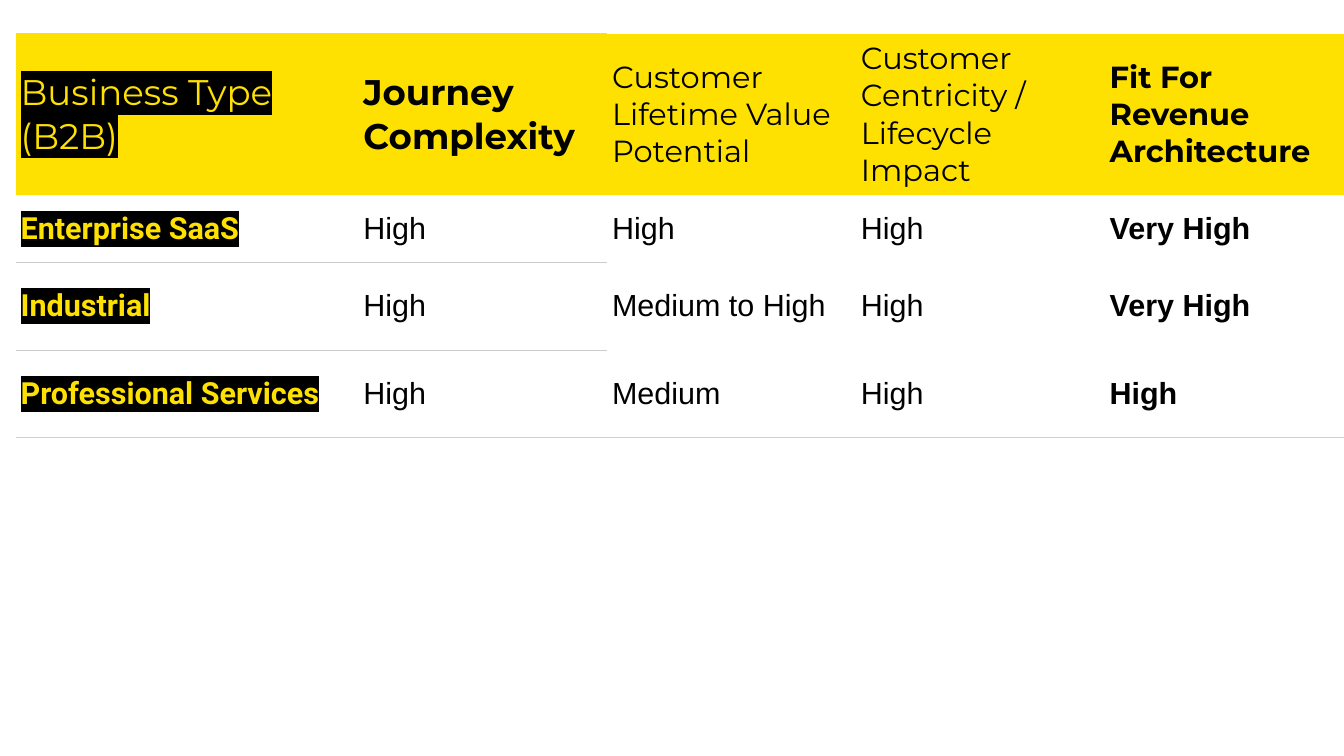
from dataclasses import dataclass

import pptx
import pptx.dml.color
import pptx.enum.text
import pptx.oxml
import pptx.oxml.ns
import pptx.table
import pptx.util

YELLOW = pptx.dml.color.RGBColor(0xFE, 0xE1, 0x00)
BLACK = pptx.dml.color.RGBColor(0x00, 0x00, 0x00)
GREY = pptx.dml.color.RGBColor(0xCC, 0xCC, 0xCC)

SLIDE_WIDTH, SLIDE_HEIGHT = 11.02, 6.2
TABLE_LEFT, TABLE_TOP = 0.13, 0.28
COLUMN_WIDTHS = [2.81] + [2.04] * 4
ROW_HEIGHTS = [1.3, 0.55, 0.72, 0.72]
RULED_COLUMNS = 2
PLAIN_STYLE = "{2D5ABB26-0587-4C30-8999-92F81FD0307C}"
CELL_FORMAT = {
    "margin_left": pptx.util.Inches(0.04),
    "margin_right": pptx.util.Inches(0.04),
    "margin_top": pptx.util.Inches(0.05),
    "margin_bottom": pptx.util.Inches(0.05),
    "vertical_anchor": pptx.enum.text.MSO_ANCHOR.MIDDLE,
}


@dataclass(frozen=True)
class TextStyle:
    font: str
    size: int = 18
    bold: bool = False
    highlighted: bool = False


@dataclass(frozen=True)
class Border:
    side: str
    color: pptx.dml.color.RGBColor
    points: float


HEADER_STYLES = [
    TextStyle("Montserrat", 21, highlighted=True),
    TextStyle("Montserrat", 21, bold=True),
    TextStyle("Montserrat"),
    TextStyle("Montserrat"),
    TextStyle("Montserrat", bold=True),
]
BODY_STYLES = [
    TextStyle("Roboto", bold=True, highlighted=True),
    TextStyle("Arial"),
    TextStyle("Arial"),
    TextStyle("Arial"),
    TextStyle("Arial", bold=True),
]
ROWS = [
    ["Business Type (B2B)", "Journey Complexity", "Customer Lifetime Value Potential",
     "Customer Centricity / Lifecycle Impact", "Fit For Revenue Architecture"],
    ["Enterprise SaaS", "High", "High", "High", "Very High"],
    ["Industrial", "High", "Medium to High", "High", "Very High"],
    ["Professional Services", "High", "Medium", "High", "High"],
]


def write_text(cell: pptx.table._Cell, text: str, style: TextStyle) -> None:
    run = cell.text_frame.paragraphs[0].add_run()
    run.text = text
    font_format = {"name": style.font, "size": pptx.util.Pt(style.size), "bold": style.bold}
    for name, value in font_format.items():
        setattr(run.font, name, value)
    run.font.color.rgb = YELLOW if style.highlighted else BLACK
    if style.highlighted:
        highlight = pptx.oxml.parse_xml(
            f'<a:highlight {pptx.oxml.ns.nsdecls("a")}><a:srgbClr val="{BLACK}"/></a:highlight>')
        run._r.rPr.find(pptx.oxml.ns.qn("a:solidFill")).addnext(highlight)


def borders_of(row: int, column: int) -> list[Border]:
    """Borders of a cell, top before bottom."""
    last_row = len(ROWS) - 1
    ruled = column < RULED_COLUMNS
    borders = []
    if ruled and row != 1:
        borders.append(Border("T", YELLOW if row == 0 else GREY, 0.85 if row == 0 else 0.5))
    if row == last_row:
        borders.append(Border("B", YELLOW, 0.85))
    elif ruled and row > 0:
        borders.append(Border("B", GREY, 0.5))
    return borders


def draw_borders(cell: pptx.table._Cell, borders: list[Border]) -> None:
    properties = cell._tc.get_or_add_tcPr()
    for position, border in enumerate(borders):
        line = pptx.oxml.parse_xml(
            f'<a:ln{border.side} {pptx.oxml.ns.nsdecls("a")} w="{pptx.util.Pt(border.points)}">'
            f'<a:solidFill><a:srgbClr val="{border.color}"/></a:solidFill></a:ln{border.side}>')
        properties.insert(position, line)


def fill_cell(cell: pptx.table._Cell, row: int, column: int) -> None:
    for name, value in CELL_FORMAT.items():
        setattr(cell, name, value)
    if row == 0:
        cell.fill.solid()
        cell.fill.fore_color.rgb = YELLOW
    else:
        cell.fill.background()
    styles = HEADER_STYLES if row == 0 else BODY_STYLES
    write_text(cell, ROWS[row][column], styles[column])
    draw_borders(cell, borders_of(row, column))


def main() -> None:
    presentation = pptx.Presentation()
    presentation.slide_width = pptx.util.Inches(SLIDE_WIDTH)
    presentation.slide_height = pptx.util.Inches(SLIDE_HEIGHT)
    slide = presentation.slides.add_slide(presentation.slide_layouts[6])

    table = slide.shapes.add_table(
        len(ROWS), len(COLUMN_WIDTHS),
        pptx.util.Inches(TABLE_LEFT), pptx.util.Inches(TABLE_TOP),
        pptx.util.Inches(sum(COLUMN_WIDTHS)), pptx.util.Inches(sum(ROW_HEIGHTS))).table
    table._tbl.tblPr.find(pptx.oxml.ns.qn("a:tableStyleId")).text = PLAIN_STYLE
    table.first_row = table.horz_banding = False
    for column, width in zip(table.columns, COLUMN_WIDTHS):
        column.width = pptx.util.Inches(width)
    for row, height in zip(table.rows, ROW_HEIGHTS):
        row.height = pptx.util.Inches(height)
    for row in range(len(ROWS)):
        for column in range(len(COLUMN_WIDTHS)):
            fill_cell(table.cell(row, column), row, column)

    presentation.save("out.pptx")


if __name__ == "__main__":
    main()
